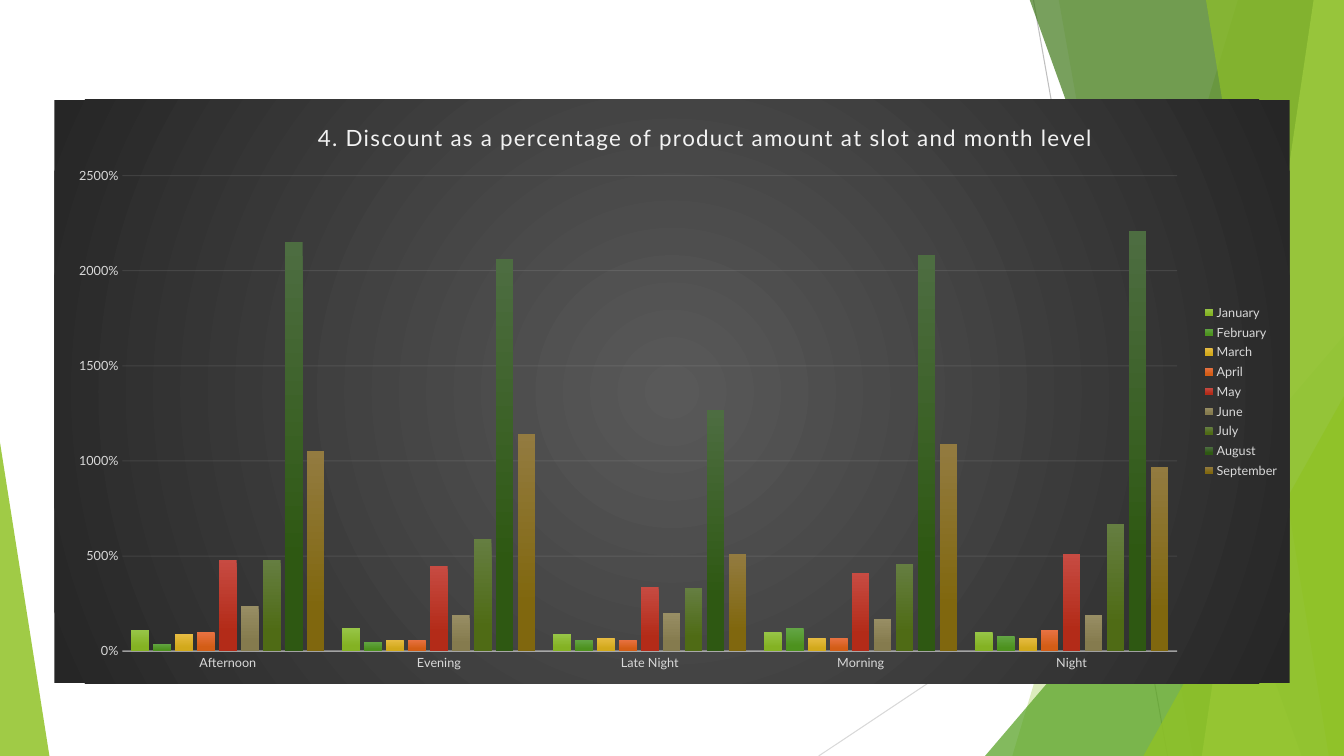
import pptx
import pptx.chart.data
import pptx.dml.color
import pptx.enum.chart
import pptx.enum.shapes
import pptx.oxml
import pptx.oxml.ns
import pptx.util

Inches, Pt = pptx.util.Inches, pptx.util.Pt
RGB = pptx.dml.color.RGBColor.from_string
qn = pptx.oxml.ns.qn
enum = pptx.enum.chart


class Theme:
    font = "Lato"
    title, label = Pt(16), Pt(9)
    pale, text = "F2F2F2", "D9D9D9"
    lime, green, dark, light = "90C226", "54A021", "3F7819", "C0E474"
    inner, outer = "595959", "262626"


def fade(node, pct):
    """Set the opacity of every colour inside node."""
    for color in node.iter(qn("a:srgbClr")):
        pptx.oxml.ns  # namespace map used by qn
        alpha = color.makeelement(qn("a:alpha"), {"val": str(pct * 1000)})
        color.append(alpha)


def place(parent, index, **box):
    """Give a chart part a fixed layout, in fractions of the chart."""
    layout = parent.find(qn("c:layout"))
    if layout is None:
        layout = parent.makeelement(qn("c:layout"), {})
        parent.insert(index, layout)
    manual = layout.makeelement(qn("c:manualLayout"), {})
    layout.append(manual)
    for tag, val in box.items():
        manual.append(manual.makeelement(qn("c:" + tag), {"val": str(val)}))


deck = pptx.Presentation()
deck.slide_width, deck.slide_height = Inches(13.33), Inches(7.5)
slide = deck.slides.add_slide(deck.slide_layouts[6])
shapes = slide.shapes

# Thin lines behind the facets
for x1, y1, x2, y2, color in [
    (10.25, 0, 11.58, 7.5, "BFBFBF"),
    (13.33, 4.03, 8.12, 7.5, "D9D9D9"),
]:
    line = shapes.add_connector(
        pptx.enum.shapes.MSO_CONNECTOR.STRAIGHT,
        Inches(x1), Inches(y1), Inches(x2), Inches(y2))
    line.line.color.rgb = RGB(color)
    line.line.width = Pt(0.75)
    props = line.element.spPr
    props.append(props.makeelement(qn("a:effectLst"), {}))

# Facets: bands give top and bottom x; triangles give box and apex
facets = [
    ("band", (12.28, 10.04), Theme.lime, 30),
    ("band", (10.5, 11.83), Theme.lime, 20),
    ("peak", (9.77, 3.33, 3.56, 4.17, 1), Theme.green, 72),
    ("band", (10.21, 12.91), Theme.dark, 70),
    ("band", (13.03, 11.92), Theme.light, 70),
    ("band", (11.96, 13.18), Theme.lime, 65),
    ("peak", (11.34, 3.93, 1.99, 3.57, 1), Theme.lime, 80),
    ("peak", (0, 4.39, 0.49, 3.11, 0), Theme.lime, 85),
]
for kind, geo, color, pct in facets:
    if kind == "band":
        top, base = geo
        pen = shapes.build_freeform(Inches(top), Inches(-0.01))
        pen.add_line_segments(
            [(Inches(x), Inches(y))
             for x, y in [(13.33, -0.01), (13.33, 7.5), (base, 7.5)]])
        facet = pen.convert_to_shape()
    else:
        *box, apex = geo
        facet = shapes.add_shape(
            pptx.enum.shapes.MSO_SHAPE.ISOSCELES_TRIANGLE,
            *[Inches(n) for n in box])
        facet.adjustments[0] = apex
    facet.shadow.inherit = False
    facet.fill.solid()
    facet.fill.fore_color.rgb = RGB(color)
    facet.line.fill.background()
    fade(facet.element.spPr, pct)

# Discount by slot and month: values, then top and bottom bar colours
months = [
    ("January", (1.1, 1.2, 0.9, 1, 1), "97C547", "84B223"),
    ("February", (0.4, 0.5, 0.6, 1.2, 0.8), "63A545", "4D921E"),
    ("March", (0.9, 0.6, 0.7, 0.7, 0.7), "E7BC43", "D2A91B"),
    ("April", (1, 0.6, 0.6, 0.7, 1.1), "E87242", "D35D16"),
    ("May", (4.8, 4.5, 3.4, 4.1, 5.1), "C74B42", "B32B18"),
    ("June", (2.4, 1.9, 2, 1.7, 1.9), "988E64", "857B4E"),
    ("July", (4.8, 5.9, 3.3, 4.6, 6.7), "657E41", "4F6B15"),
    ("August", (21.5, 20.6, 12.7, 20.8, 22.1), "4D6D41", "2E5812"),
    ("September", (10.5, 11.4, 5.1, 10.9, 9.7), "937B40", "80670E"),
]
data = pptx.chart.data.CategoryChartData(number_format="0%")
data.categories = ["Afternoon", "Evening", "Late Night", "Morning", "Night"]
for name, vals, *_ in months:
    data.add_series(name, vals)
chart = shapes.add_chart(
    enum.XL_CHART_TYPE.COLUMN_CLUSTERED,
    Inches(0.54), Inches(0.99), Inches(12.25), Inches(5.79), data).chart
chart.font.name = Theme.font
chart.font.size = Theme.label
chart.font.color.rgb = RGB(Theme.text)

plot = chart.plots[0]
plot.gap_width, plot.overlap = 100, -24
plot.vary_by_categories = False
for bars, (name, vals, *tints) in zip(plot.series, months):
    bars.invert_if_negative = False
    fill = bars.format.fill
    fill.gradient()
    fill.gradient_angle = 270
    for stop, tint, spot in zip(fill.gradient_stops, tints, (0, 0.78)):
        stop.color.rgb = RGB(tint)
        stop.position = spot

chart.has_title = True
para = chart.chart_title.text_frame.paragraphs[0]
run = para.add_run()
run.text = "4. Discount as a percentage of product amount at slot and month level"
run.font.name, run.font.size, run.font.bold = Theme.font, Theme.title, False
run.font.color.rgb = RGB(Theme.pale)
run.font._element.set("spc", "100")

chart.has_legend = True
chart.legend.position = enum.XL_LEGEND_POSITION.RIGHT
chart.legend.include_in_layout = False

slots, scale = chart.category_axis, chart.value_axis
scale.minimum_scale, scale.maximum_scale, scale.major_unit = 0, 25, 5
scale.has_major_gridlines = True
scale.tick_labels.number_format = "0%"
scale.tick_labels.number_format_is_linked = False
scale.format.line.fill.background()
for axis in (slots, scale):
    axis.major_tick_mark = enum.XL_TICK_MARK.NONE
    axis.tick_labels.font.name = Theme.font
    axis.tick_labels.font.size = Theme.label
    axis.tick_labels.font.color.rgb = RGB(Theme.text)
for part, width in [(slots, 1), (scale.major_gridlines, 0.75)]:
    part.format.line.color.rgb = RGB(Theme.pale)
    part.format.line.width = Pt(width)

root = chart.element
fade(root.find(".//" + qn("c:catAx")).find(qn("c:spPr")), 54)
fade(root.find(".//" + qn("c:majorGridlines")), 10)
place(root.find(".//" + qn("c:title")), 1,
      xMode="edge", yMode="edge", x=0.21, y=0.03)
place(root.find(".//" + qn("c:plotArea")), 0, layoutTarget="inner",
      xMode="edge", yMode="edge", x=0.055, y=0.13, w=0.854, h=0.815)

# Radial chart background
root.find(qn("c:chart")).addnext(pptx.oxml.parse_xml(
    f'<c:spPr {pptx.oxml.ns.nsdecls("c", "a")}><a:gradFill><a:gsLst>'
    f'<a:gs pos="0"><a:srgbClr val="{Theme.inner}"/></a:gs>'
    f'<a:gs pos="100000"><a:srgbClr val="{Theme.outer}"/></a:gs></a:gsLst>'
    '<a:path path="circle"><a:fillToRect l="50000" t="50000" r="50000" '
    'b="50000"/></a:path></a:gradFill><a:ln><a:noFill/></a:ln></c:spPr>'))

deck.save("out.pptx")
